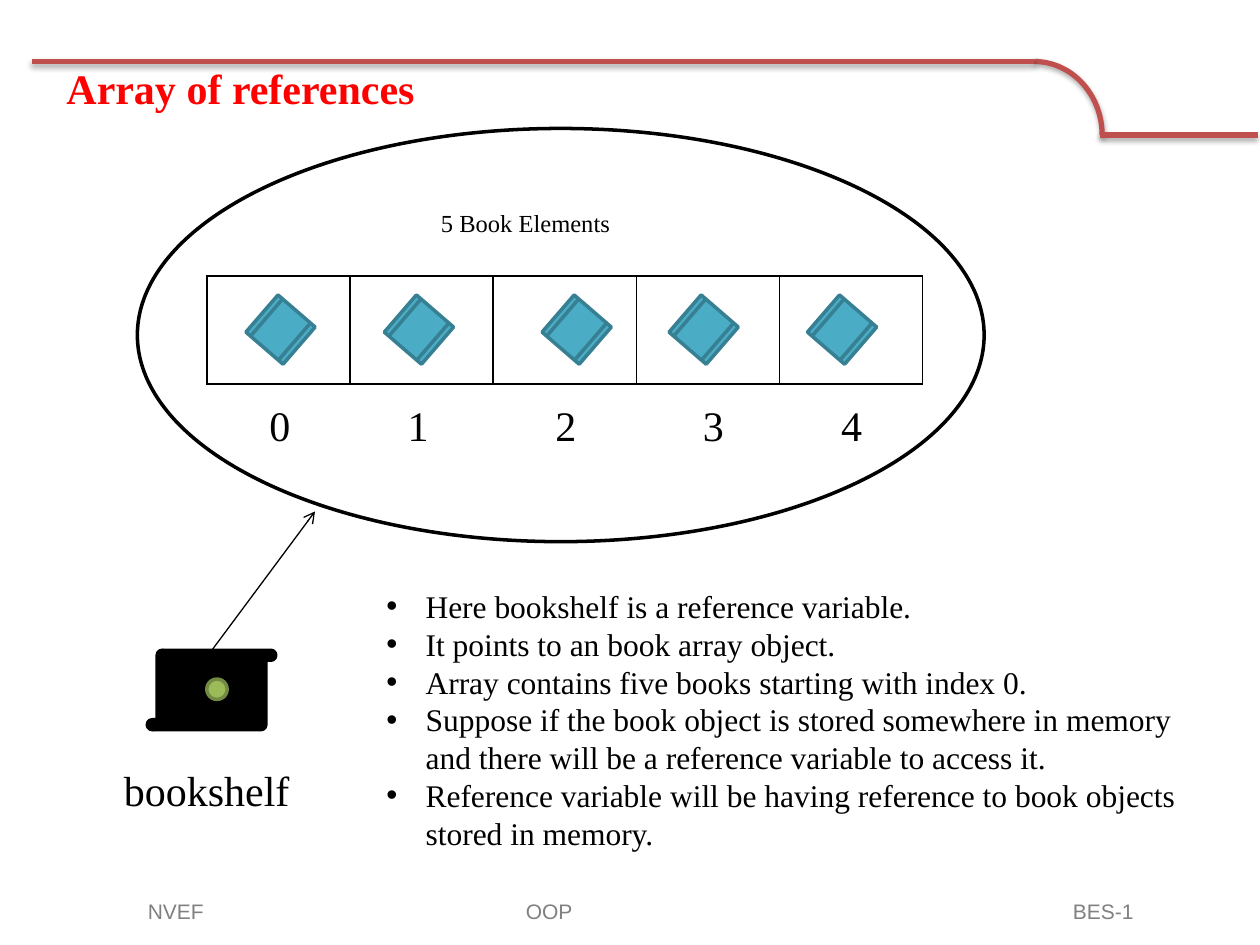
from lxml import etree
from pptx import Presentation
from pptx.dml.color import RGBColor
from pptx.enum.shapes import MSO_CONNECTOR, MSO_SHAPE
from pptx.enum.text import MSO_ANCHOR, PP_ALIGN
from pptx.oxml.ns import qn
from pptx.util import Cm, Pt

SERIF = "Times New Roman"
rgb = RGBColor.from_string

prs = Presentation()
prs.slide_width, prs.slide_height = Cm(25.4), Cm(19.05)
slide = prs.slides.add_slide(prs.slide_layouts[6])
shapes = slide.shapes


def add_shape(kind, box, fill, line, width=2):
    shape = shapes.add_shape(kind, *map(Cm, box))
    shape.shadow.inherit = False
    if fill:
        shape.fill.solid()
        shape.fill.fore_color.rgb = rgb(fill)
    else:
        shape.fill.background()
    shape.line.color.rgb = rgb(line)
    shape.line.width = Pt(width)
    return shape


def add_text(lines, box, size, color="000000", font=SERIF, bold=False, align=PP_ALIGN.LEFT):
    frame = shapes.add_textbox(*map(Cm, box)).text_frame
    frame.word_wrap = True
    frame.text = "\n".join(lines)
    for p in frame.paragraphs:
        p.alignment = align
        p.font.size, p.font.name, p.font.bold = Pt(size), font, bold
        p.font.color.rgb = rgb(color)
    return frame


# Header rule: two lines joined by an arc, all with a soft shadow
rule = [add_shape(MSO_SHAPE.ARC, (19.48, 1.24, 2.74, 2.97), None, "C0504D", 3)]
for ends in [(22.17, 2.72, 25.35, 2.72), (20.85, 1.24, 0.64, 1.24)]:
    line = shapes.add_connector(MSO_CONNECTOR.STRAIGHT, *map(Cm, ends))
    line.line.color.rgb = rgb("C0504D")
    line.line.width = Pt(3)
    etree.SubElement(line._element.spPr, qn("a:effectLst"))
    rule.append(line)
for part in rule:
    effects = part._element.spPr.find(qn("a:effectLst"))
    shadow = etree.SubElement(effects, qn("a:outerShdw"), blurRad=str(Pt(3.1)),
                              dist=str(Pt(1.8)), dir="5400000", rotWithShape="0")
    black = etree.SubElement(shadow, qn("a:srgbClr"), val="000000")
    etree.SubElement(black, qn("a:alpha"), val="35000")

add_text(["Array of references"], (1.09, 1.14, 15.16, 1.27), 24, "FF0000", bold=True)

# Array object: ellipse around a row of five cells
add_shape(MSO_SHAPE.OVAL, (2.77, 2.59, 17.07, 8.33), "FFFFFF", "000000")
table = shapes.add_table(1, 5, Cm(4.17), Cm(5.56), Cm(14.43), Cm(2.18)).table
for cell in table.iter_cells():
    tc_pr = cell._tc.get_or_add_tcPr()
    for side in ("lnL", "lnR", "lnT", "lnB"):
        border = etree.SubElement(tc_pr, qn("a:" + side), w=str(Pt(1)))
        fill = etree.SubElement(border, qn("a:solidFill"))
        etree.SubElement(fill, qn("a:srgbClr"), val="000000")
    cell.fill.background()

# Books and their indexes
book_lefts = [5.16, 7.95, 11.13, 13.69, 16.48]
index_lefts = [4.75, 7.54, 10.52, 13.49, 16.28]
for index, (book_left, index_left) in enumerate(zip(book_lefts, index_lefts)):
    book = add_shape(MSO_SHAPE.FLOWCHART_PREDEFINED_PROCESS,
                     (book_left, 6.15, 0.99, 0.99), "4BACC6", "377F92")
    book.rotation = 40.8
    add_text([str(index)], (index_left, 7.92, 1.78, 1.02), 24, align=PP_ALIGN.CENTER)
add_text(["5 Book Elements"], (8.64, 4.06, 4.95, 0.86), 14)

# Bookshelf reference pointing at the array
add_shape(MSO_SHAPE.VERTICAL_SCROLL, (2.97, 13.11, 2.59, 1.6), "000000", "000000")
add_shape(MSO_SHAPE.OVAL, (4.17, 13.69, 0.41, 0.41), "9BBB59", "738A42")
add_text(["bookshelf"], (1.98, 15.29, 4.37, 1.02), 24, align=PP_ALIGN.CENTER)
arrow = shapes.add_connector(MSO_CONNECTOR.STRAIGHT, Cm(4.27), Cm(13.11), Cm(6.35), Cm(10.31))
arrow.line.color.rgb = rgb("000000")
arrow.line.width = Pt(0.75)
etree.SubElement(arrow.line._get_or_add_ln(), qn("a:tailEnd"), type="arrow")
etree.SubElement(arrow._element.spPr, qn("a:effectLst"))

# Explanation
notes = add_text([
    "Here bookshelf is a reference variable.",
    "It points to an book array object.",
    "Array contains five books starting with index 0.",
    "Suppose if the book object is stored somewhere in memory and there will be "
    "a reference variable to access it.",
    "Reference variable will be having reference to book objects stored in memory.",
], (7.54, 11.71, 16.79, 5.64), 18)
for p in notes.paragraphs:
    p_pr = p._p.get_or_add_pPr()
    p_pr.set("marL", str(Cm(0.79)))
    p_pr.set("indent", str(-Cm(0.79)))
    bullet_font = etree.Element(qn("a:buFont"), typeface="Arial")
    bullet = etree.Element(qn("a:buChar"), char="•")
    p_pr.insert(0, bullet_font)
    p_pr.insert(1, bullet)

# Footer: three entries set by tab stops
footer = add_text(["NVEF\tOOP\tBES-1"], (1.4, 18.03, 23.06, 0.69), 12, "808080", "Arial")
footer.margin_left = Cm(1.58)
footer.vertical_anchor = MSO_ANCHOR.MIDDLE
tabs = etree.Element(qn("a:tabLst"))
for stop in (7.62, 18.65):
    etree.SubElement(tabs, qn("a:tab"), pos=str(Cm(stop)), algn="l")
footer.paragraphs[0]._p.get_or_add_pPr().insert(0, tabs)

prs.save("out.pptx")
